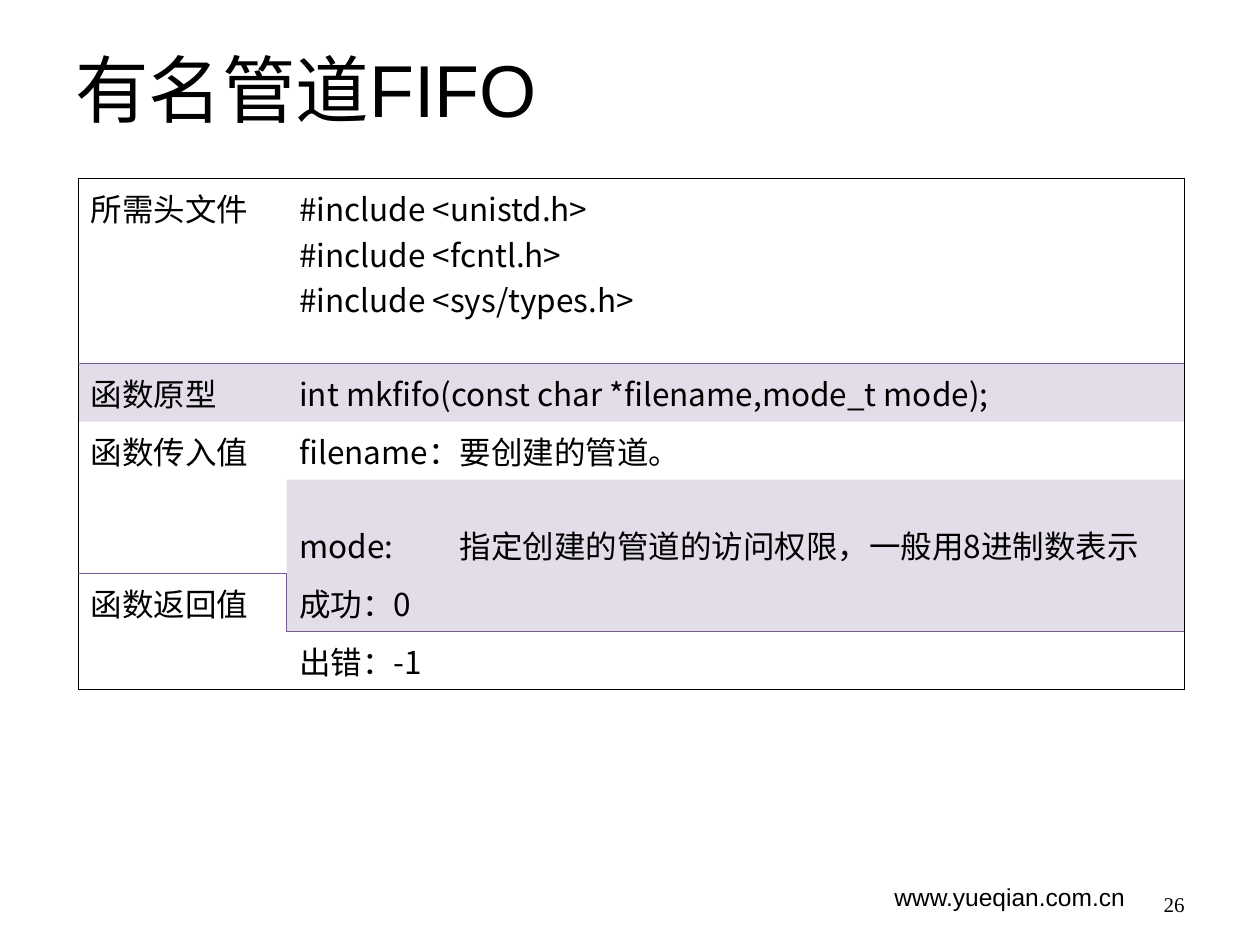
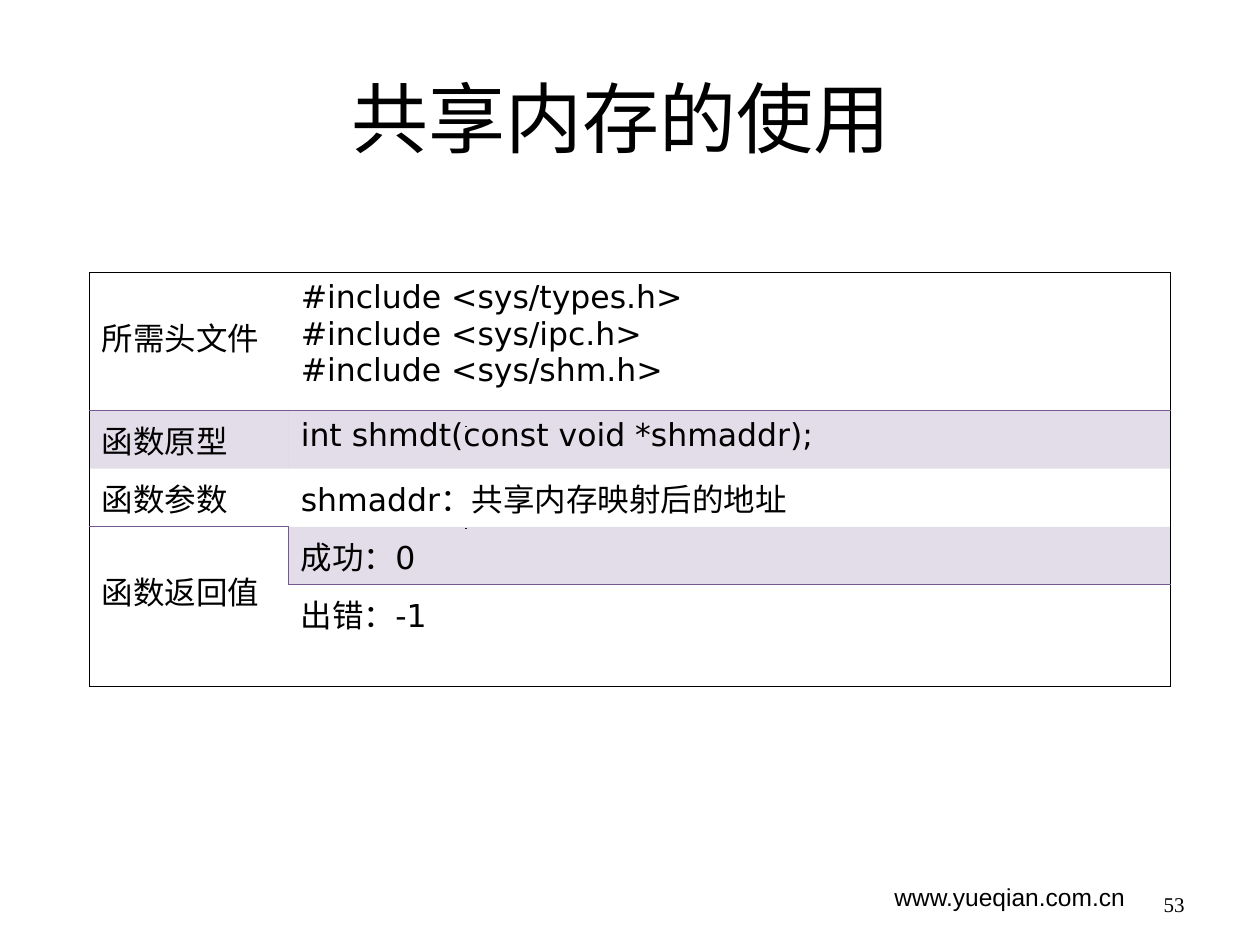
from dataclasses import dataclass
from lxml.etree import SubElement
from pptx import Presentation
from pptx.dml.color import RGBColor
from pptx.enum.shapes import MSO_CONNECTOR
from pptx.enum.text import MSO_ANCHOR, PP_ALIGN
from pptx.oxml.ns import qn
from pptx.util import Cm, Pt


@dataclass(frozen=True)
class Theme:
    """Colours, fonts, type sizes and line widths of the slides."""
    ink: str = "000000"
    accent: str = "755992"
    accent_opacity: int = 20
    heading_font: str = "Arial"
    number_font: str = "Times New Roman"
    chinese_font: str = "Noto Sans CJK SC"
    code_font: str = "DejaVu Sans"
    title_size: int = 44
    body_size: int = 18
    footer_size: int = 14
    number_size: int = 12
    border_width: float = 0.45
    dot_width: float = 1


@dataclass(frozen=True)
class Entry:
    """Content, fill and span of one table cell."""
    text: str
    shaded: bool = False
    rows: int = 1
    columns: int = 1
    top: float = 0.13
    anchor: MSO_ANCHOR = MSO_ANCHOR.TOP


def write(frame, text, *, font, size, colour, chinese, align=PP_ALIGN.LEFT):
    """Fill a text frame with one paragraph for each line of text."""
    frame.word_wrap = True
    for index, line in enumerate(text.split("\n")):
        paragraph = frame.add_paragraph() if index else frame.paragraphs[0]
        paragraph.alignment = align
        run = paragraph.add_run()
        run.text = line
        run.font.name = font
        run.font.size = Pt(size)
        run.font.color.rgb = RGBColor.from_string(colour)
        SubElement(run._r.get_or_add_rPr(), qn("a:ea"), typeface=chinese)


class Deck:
    """Presentation builder that holds the theme and the current slide."""

    def __init__(self, theme):
        """Start an empty presentation in 4:3 format."""
        self.theme = theme
        self.presentation = Presentation()
        self.presentation.slide_width = Cm(25.4)
        self.presentation.slide_height = Cm(19.05)
        self.slide = None

    def text(self, text, left, top, width, height, anchor=MSO_ANCHOR.TOP, **style):
        """Add a text box."""
        shape = self.slide.shapes.add_textbox(Cm(left), Cm(top), Cm(width), Cm(height))
        shape.text_frame.vertical_anchor = anchor
        write(shape.text_frame, text, colour=self.theme.ink,
              chinese=self.theme.chinese_font, **style)

    def new_slide(self, title, number, **title_style):
        """Add a slide with its title, web address and page number."""
        theme = self.theme
        self.slide = self.presentation.slides.add_slide(self.presentation.slide_layouts[6])
        self.text("www.yueqian.com.cn", 17.78, 17.65, 6.35, 1.02,
                  font=theme.heading_font, size=theme.footer_size)
        self.text(title, 1.27, 0.76, 22.86, 3.18, font=theme.heading_font, **title_style)
        self.text(str(number), 18.21, 17.34, 5.92, 1.26, anchor=MSO_ANCHOR.BOTTOM,
                  font=theme.number_font, size=theme.number_size, align=PP_ALIGN.RIGHT)

    def dot(self, left, top):
        """Add a very short line that shows as a dot."""
        line = self.slide.shapes.add_connector(
            MSO_CONNECTOR.STRAIGHT, Cm(left), Cm(top), Cm(left), Cm(top + 0.02))
        line.line.color.rgb = RGBColor.from_string(self.theme.ink)
        line.line.width = Pt(self.theme.dot_width)
        SubElement(line._element.spPr, qn("a:effectLst"))

    def border(self, cell, side, colour):
        """Draw one side of a cell, or clear it when there is no colour."""
        line = SubElement(cell._tc.get_or_add_tcPr(), qn(f"a:ln{side}"),
                          w=str(Pt(self.theme.border_width)))
        if colour:
            fill = SubElement(line, qn("a:solidFill"))
            SubElement(fill, qn("a:srgbClr"), val=colour)
        else:
            SubElement(line, qn("a:noFill"))

    def shade(self, cell, shaded):
        """Give a cell the translucent accent fill or no fill."""
        if not shaded:
            cell.fill.background()
            return
        cell.fill.solid()
        cell.fill.fore_color.rgb = RGBColor.from_string(self.theme.accent)
        colour = cell._tc.tcPr.find(qn("a:solidFill"))[0]
        SubElement(colour, qn("a:alpha"), val=str(self.theme.accent_opacity * 1000))

    def table(self, left, top, widths, heights, entries, across, down, font):
        """Add a framed table; across and down hold (boundary, position) of inner lines."""
        theme = self.theme
        shape = self.slide.shapes.add_table(
            len(heights), len(widths), Cm(left), Cm(top), Cm(sum(widths)), Cm(sum(heights)))
        table = shape.table
        table.first_row = table.horz_banding = False
        for column, width in zip(table.columns, widths):
            column.width = Cm(width)
        for row, height in zip(table.rows, heights):
            row.height = Cm(height)

        def edge(boundary, position, last, inner):
            """Return the colour of a cell edge."""
            if boundary in (0, last):
                return theme.ink
            return theme.accent if (boundary, position) in inner else None

        for row in range(len(heights)):
            for column in range(len(widths)):
                cell = table.cell(row, column)
                entry = entries.get((row, column), Entry(""))
                right, bottom = column + entry.columns, row + entry.rows
                self.border(cell, "L", edge(column, row, len(widths), down))
                self.border(cell, "R", edge(right, row, len(widths), down))
                self.border(cell, "T", edge(row, column, len(heights), across))
                self.border(cell, "B", edge(bottom, column, len(heights), across))
                self.shade(cell, entry.shaded)
                if entry.rows > 1 or entry.columns > 1:
                    cell.merge(table.cell(bottom - 1, right - 1))
                if entry.text:
                    cell.margin_top = Cm(entry.top)
                    cell.vertical_anchor = entry.anchor
                    write(cell.text_frame, entry.text, font=font, size=theme.body_size,
                          colour=theme.ink, chinese=theme.chinese_font)


def named_pipe(deck):
    """Build the slide on mkfifo."""
    deck.new_slide("有名管道FIFO", 26, size=deck.theme.title_size - 2)
    deck.dot(9.4, 10.95)
    row = 1.17
    entries = {
        (0, 0): Entry("所需头文件"),
        (0, 1): Entry("#include <unistd.h>\n#include <fcntl.h>\n#include <sys/types.h>",
                      columns=2),
        (1, 0): Entry("函数原型", shaded=True),
        (1, 1): Entry("int mkfifo(const char *filename,mode_t mode);",
                      shaded=True, columns=2),
        (2, 0): Entry("函数传入值", rows=2),
        (2, 1): Entry("filename：要创建的管道。", columns=2),
        (3, 1): Entry("mode:", shaded=True, anchor=MSO_ANCHOR.BOTTOM),
        (3, 2): Entry("指定创建的管道的访问权限，一般用8进制数表示",
                      shaded=True, anchor=MSO_ANCHOR.BOTTOM),
        (4, 0): Entry("函数返回值", rows=2),
        (4, 1): Entry("成功：0", shaded=True, columns=2),
        (5, 1): Entry("出错：-1", columns=2),
    }
    deck.table(1.58, 3.6, [4.2, 3.23, 14.86], [3.73, row, row, 1.89, row, row], entries,
               across={(1, 0), (1, 1), (1, 2), (4, 0), (5, 1), (5, 2)}, down={(1, 4)},
               font=deck.theme.chinese_font)


def shared_memory(deck):
    """Build the slide on shmdt."""
    deck.new_slide("共享内存的使用 ", 53, size=deck.theme.title_size,
                   anchor=MSO_ANCHOR.MIDDLE, align=PP_ALIGN.CENTER)
    for top in (8.59, 10.64):
        deck.dot(9.4, top)
    row, lowered = 1.17, 0.83
    entries = {
        (0, 0): Entry("所需头文件", top=lowered),
        (0, 1): Entry("#include <sys/types.h>\n#include <sys/ipc.h>\n#include <sys/shm.h>"),
        (1, 0): Entry("函数原型", shaded=True),
        (1, 1): Entry("int shmdt(const void *shmaddr);", shaded=True),
        (2, 0): Entry("函数参数"),
        (2, 1): Entry("shmaddr：共享内存映射后的地址"),
        (3, 0): Entry("函数返回值", rows=2, top=lowered),
        (3, 1): Entry("成功：0", shaded=True),
        (4, 1): Entry("出错：-1"),
    }
    deck.table(1.8, 5.5, [4.01, 17.79], [2.78, row, row, row, 2.04], entries,
               across={(1, 0), (1, 1), (3, 0), (4, 1)}, down={(1, 3)},
               font=deck.theme.code_font)


def main():
    """Build and save the presentation."""
    deck = Deck(Theme())
    named_pipe(deck)
    shared_memory(deck)
    deck.presentation.save("out.pptx")


if __name__ == "__main__":
    main()
